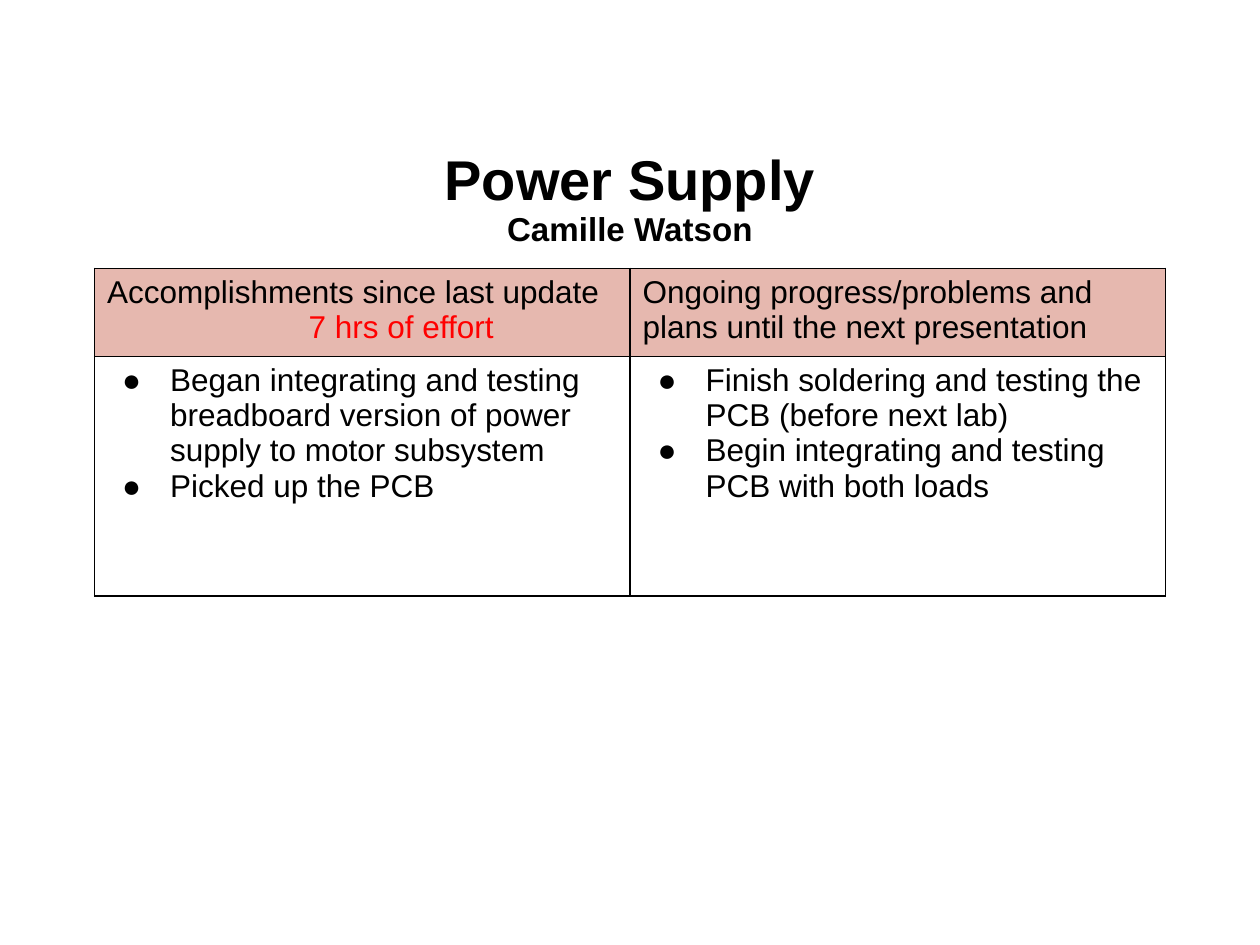
from lxml import etree
from pptx import Presentation
from pptx.dml.color import RGBColor
from pptx.enum.text import MSO_ANCHOR, MSO_AUTO_SIZE, PP_ALIGN
from pptx.oxml.ns import qn
from pptx.util import Inches, Pt

MIDDLE = MSO_ANCHOR.MIDDLE
NO_AUTOFIT = MSO_AUTO_SIZE.NONE
CENTER = PP_ALIGN.CENTER

BLACK = RGBColor(0x00, 0x00, 0x00)
RED = RGBColor(0xFF, 0x00, 0x00)
ROSE = RGBColor(0xE6, 0xB8, 0xAF)

FONT_NAME = "Arial"
TITLE_ONLY_LAYOUT = 5
SLIDE_WIDTH, SLIDE_HEIGHT = Inches(10), Inches(7.5)
COLUMN_WIDTH = Inches(4.25)
ROW_HEIGHTS = [Inches(0.7), Inches(1.9)]
TABLE_TOP = Inches(2.13)
EFFORT_INDENT = Inches(1.6)
BULLET_MARGIN, BULLET_HANGING = Inches(0.5), Inches(-0.38)

TITLE_LINES = [("Power Supply", 32), ("Camille Watson", 18.9)]
HEADERS = [
    [("Accomplishments since last update", BLACK, 0),
     ("7 hrs of effort", RED, EFFORT_INDENT)],
    [("Ongoing progress/problems and plans until the next presentation", BLACK, 0)],
]
BULLETS = [
    ["Began integrating and testing breadboard version of power supply to motor subsystem",
     "Picked up the PCB"],
    ["Finish soldering and testing the PCB (before next lab)",
     "Begin integrating and testing PCB with both loads"],
]


def set_font(font, size, color=BLACK, bold=False):
    for name, value in {"name": FONT_NAME, "size": Pt(size), "bold": bold}.items():
        setattr(font, name, value)
    font.color.rgb = color


def next_paragraph(text_frame, index):
    return text_frame.add_paragraph() if index else text_frame.paragraphs[0]


def add_title(slide):
    title = slide.shapes.title
    box = {"left": Inches(0.5), "top": Inches(1.15),
           "width": SLIDE_WIDTH - 2 * Inches(0.5), "height": Inches(0.88)}
    for name, value in box.items():
        setattr(title, name, value)
    text_frame = title.text_frame
    frame_format = {"auto_size": NO_AUTOFIT, "vertical_anchor": MIDDLE, "word_wrap": True}
    for name, value in frame_format.items():
        setattr(text_frame, name, value)
    for index, (text, size) in enumerate(TITLE_LINES):
        paragraph = next_paragraph(text_frame, index)
        paragraph.text = text
        paragraph.alignment = CENTER
        paragraph.line_spacing = 0.9
        set_font(paragraph.runs[0].font, size, bold=True)


def add_borders(cell):
    properties = cell._tc.get_or_add_tcPr()
    for side in ("lnL", "lnR", "lnT", "lnB"):
        line = etree.SubElement(properties, qn(f"a:{side}"), w=str(Pt(1)))
        fill = etree.SubElement(line, qn("a:solidFill"))
        etree.SubElement(fill, qn("a:srgbClr"), val=str(BLACK))


def add_bullet(paragraph):
    properties = paragraph._p.get_or_add_pPr()
    properties.set("marL", str(BULLET_MARGIN))
    properties.set("indent", str(BULLET_HANGING))
    color = etree.SubElement(properties, qn("a:buClr"))
    etree.SubElement(color, qn("a:srgbClr"), val=str(BLACK))
    etree.SubElement(properties, qn("a:buFont"), typeface=FONT_NAME)
    etree.SubElement(properties, qn("a:buChar"), char="●")


def fill_header(cell, lines):
    for index, (text, color, indent) in enumerate(lines):
        paragraph = next_paragraph(cell.text_frame, index)
        paragraph.text = text
        paragraph._p.get_or_add_pPr().set("marL", str(indent))
        set_font(paragraph.runs[0].font, 18, color)
    add_borders(cell)
    cell.fill.solid()
    cell.fill.fore_color.rgb = ROSE


def fill_list(cell, items):
    for index, text in enumerate(items):
        paragraph = next_paragraph(cell.text_frame, index)
        paragraph.text = text
        add_bullet(paragraph)
        set_font(paragraph.runs[0].font, 18)
    add_borders(cell)
    cell.fill.background()


def add_progress_table(slide):
    width = COLUMN_WIDTH * len(HEADERS)
    left = (SLIDE_WIDTH - width) // 2
    table = slide.shapes.add_table(len(ROW_HEIGHTS), len(HEADERS), left, TABLE_TOP,
                                   width, sum(ROW_HEIGHTS)).table
    table.first_row = False
    table.horz_banding = False
    for row, height in zip(table.rows, ROW_HEIGHTS):
        row.height = height
    for column, (header, items) in enumerate(zip(HEADERS, BULLETS)):
        fill_header(table.cell(0, column), header)
        fill_list(table.cell(1, column), items)


def main():
    presentation = Presentation()
    presentation.slide_width = SLIDE_WIDTH
    presentation.slide_height = SLIDE_HEIGHT
    slide = presentation.slides.add_slide(presentation.slide_layouts[TITLE_ONLY_LAYOUT])
    add_progress_table(slide)
    add_title(slide)
    presentation.save("out.pptx")


if __name__ == "__main__":
    main()
